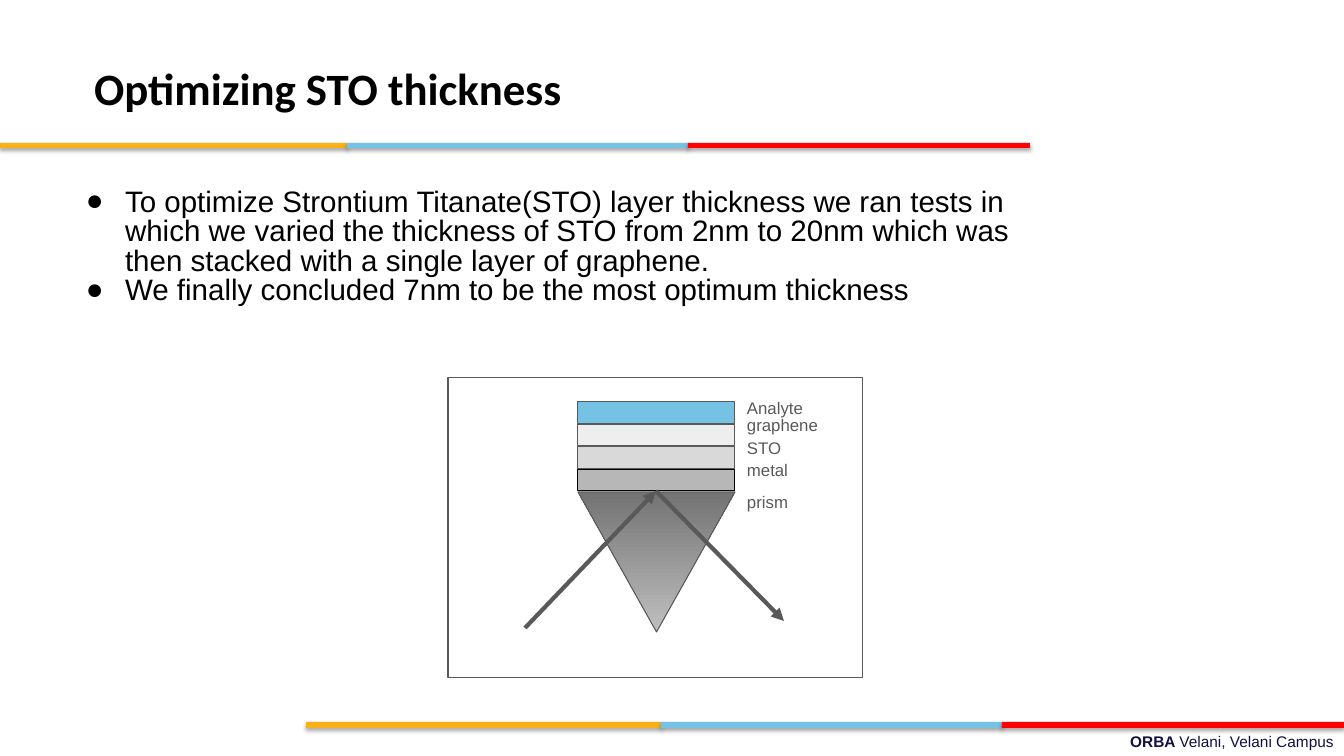
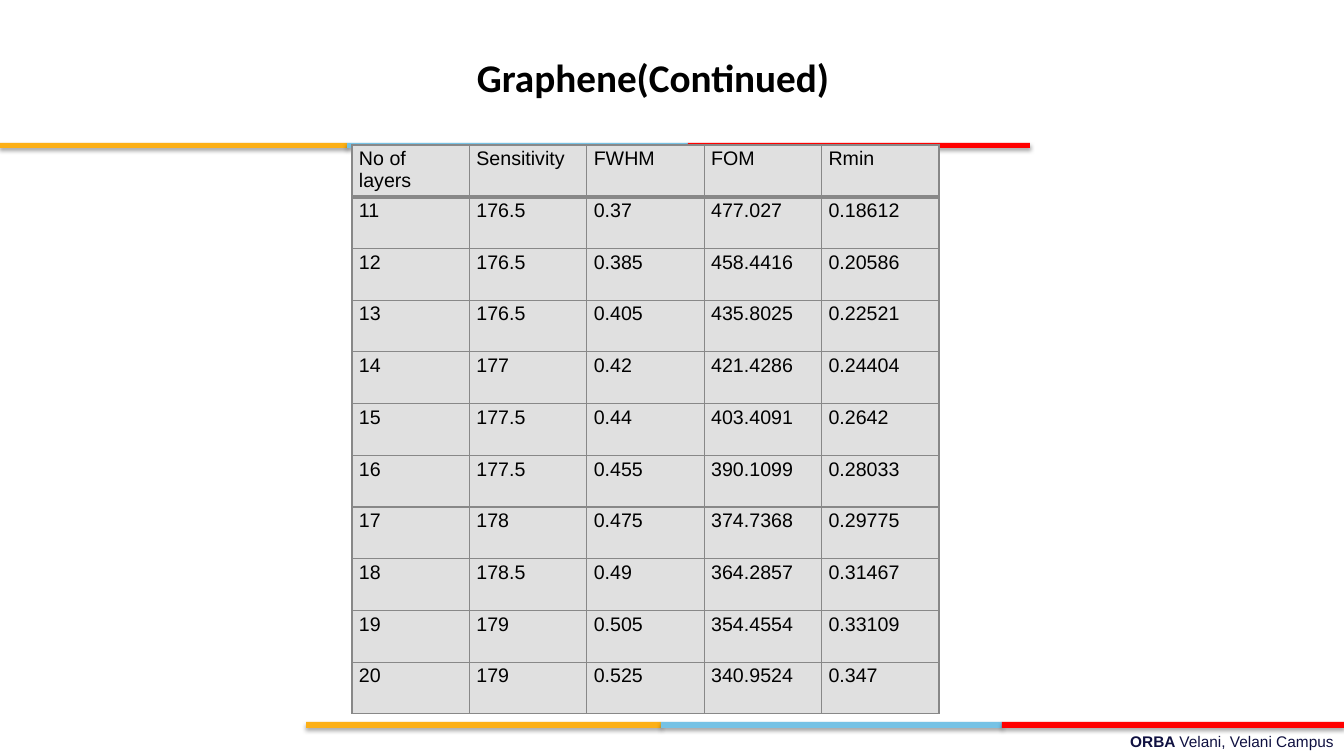
from dataclasses import dataclass
from itertools import pairwise

from lxml.etree import SubElement
from pptx import Presentation
from pptx.dml.color import RGBColor as Rgb
from pptx.enum.shapes import MSO_CONNECTOR as Connector, MSO_SHAPE as Shape
from pptx.enum.text import MSO_ANCHOR as Anchor, MSO_AUTO_SIZE as AutoSize, PP_ALIGN as Align
from pptx.oxml.ns import qn
from pptx.util import Emu, Pt


@dataclass(frozen=True)
class Theme:
    heading_font: str = "Calibri"
    text_font: str = "Arial"
    black: str = "000000"
    grey: str = "595959"
    navy: str = "101141"
    orange: str = "FCB017"
    blue: str = "76C2E5"
    red: str = "FF0000"
    cell_fill: str = "E0E0E0"
    cell_line: str = "888888"
    prism_light: str = "BFBFBF"
    prism_dark: str = "737373"
    title_size: float = 32
    small_title_size: float = 28
    body_size: float = 21.1
    table_size: float = 14
    label_size: float = 12
    footer_size: float = 11


THEME = Theme()
SLIDE_SIZE = (1344, 756)

BAND_COLORS = (THEME.orange, THEME.blue, THEME.red)
BANDS = [
    {"top": 143, "height": 5, "edges": (0, 347, 688, 1030)},
    {"top": 722, "height": 6, "edges": (306, 661, 1002, 1344)},
]
FOOTER = [("ORBA ", True), ("Velani, Velani Campus", False)]
FOOTER_BOX = (482, 727, 862, 28)

STO_TITLE = "Optimizing STO thickness"
STO_POINTS = [
    "To optimize Strontium Titanate(STO) layer thickness we ran tests in which we varied "
    "the thickness of STO from 2nm to 20nm which was then stacked with a single layer of graphene.",
    "We finally concluded 7nm to be the most optimum thickness",
]
FRAME = (448, 378, 415, 300)
STACK = (578, 402, 157, 90)
PRISM = (578, 492, 157, 140)
LAYERS = [
    (THEME.blue, THEME.grey),
    ("EEEEEE", THEME.grey),
    ("D9D9D9", THEME.grey),
    ("B7B7B7", THEME.black),
]
LABELS = [("Analyte", 388), ("graphene", 405), ("STO", 428), ("metal", 450), ("prism", 482)]
LIGHT_POINTS = [(525, 628), (656, 491), (784, 621)]

TABLE_TITLE = "Graphene(Continued)"
TABLE_BOX = (352, 145, 587, 569)
TABLE_ROWS = [
    ("No of layers", "Sensitivity", "FWHM", "FOM", "Rmin"),
    ("11", "176.5", "0.37", "477.027", "0.18612"),
    ("12", "176.5", "0.385", "458.4416", "0.20586"),
    ("13", "176.5", "0.405", "435.8025", "0.22521"),
    ("14", "177", "0.42", "421.4286", "0.24404"),
    ("15", "177.5", "0.44", "403.4091", "0.2642"),
    ("16", "177.5", "0.455", "390.1099", "0.28033"),
    ("17", "178", "0.475", "374.7368", "0.29775"),
    ("18", "178.5", "0.49", "364.2857", "0.31467"),
    ("19", "179", "0.505", "354.4554", "0.33109"),
    ("20", "179", "0.525", "340.9524", "0.347"),
]


def px(length):
    return Emu(round(length * 914400 / 100.8))


def place(shape, box):
    shape.left, shape.top, shape.width, shape.height = map(px, box)


def set_margins(target, across, down):
    target.margin_left = target.margin_right = px(across)
    target.margin_top = target.margin_bottom = px(down)


def style_text(frame, size, color, font=THEME.text_font, bold=False, align=Align.LEFT):
    for para in frame.paragraphs:
        para.alignment = align
        for span in para.runs:
            span.font.name = font
            span.font.size = Pt(size)
            span.font.bold = bold
            span.font.color.rgb = Rgb.from_string(color)


def prepare_frame(shape, across=10, down=10, anchor=Anchor.TOP):
    frame = shape.text_frame
    frame.word_wrap = True
    frame.auto_size = AutoSize.NONE
    frame.vertical_anchor = anchor
    set_margins(frame, across, down)
    return frame


def add_block(page, kind, box, fill=None, line=None):
    block = page.shapes.add_shape(kind, *map(px, box))
    block.shadow.inherit = False
    if fill:
        block.fill.solid()
        block.fill.fore_color.rgb = Rgb.from_string(fill)
    else:
        block.fill.background()
    if line:
        block.line.color.rgb = Rgb.from_string(line)
        block.line.width = Pt(0.75)
    else:
        block.line.fill.background()
    return block


def add_band_shadow(block):
    effects = block._element.spPr.find(qn("a:effectLst"))
    shadow = SubElement(effects, qn("a:outerShdw"), blurRad=str(Pt(3.1)), dist=str(Pt(1.8)),
                        dir="5400000", rotWithShape="0")
    color = SubElement(shadow, qn("a:srgbClr"), val=THEME.black)
    SubElement(color, qn("a:alpha"), val="35000")


def add_footer(page):
    box = page.shapes.add_textbox(*map(px, FOOTER_BOX))
    frame = prepare_frame(box, 10, 5)
    para = frame.paragraphs[0]
    for text, _ in FOOTER:
        para.add_run().text = text
    style_text(frame, THEME.footer_size, THEME.navy, align=Align.RIGHT)
    for span, (_, bold) in zip(para.runs, FOOTER):
        span.font.bold = bold
    return box


def furnish_master(deck, page):
    furniture = [add_footer(page)]
    for band in BANDS:
        for color, (left, right) in zip(BAND_COLORS, pairwise(band["edges"])):
            box = (left, band["top"], right - left, band["height"])
            block = add_block(page, Shape.RECTANGLE, box, color)
            add_band_shadow(block)
            furniture.append(block)
    for number, shape in enumerate(furniture, 100):
        shape._element.nvSpPr.cNvPr.id = number
        deck.slide_master.shapes._spTree.append(shape._element)


def set_title(page, text, box, size, across, down, anchor):
    title = page.shapes.title
    place(title, box)
    frame = prepare_frame(title, across, down, anchor)
    frame.text = text
    style_text(frame, size, THEME.black, THEME.heading_font, True)


def set_points(page, points, box):
    body = page.placeholders[1]
    place(body, box)
    frame = prepare_frame(body)
    frame.text = "\n".join(points)
    style_text(frame, THEME.body_size, THEME.black)
    for para in frame.paragraphs:
        para.line_spacing = 0.83
        para.space_before = para.space_after = Pt(0)
        settings = para._p.get_or_add_pPr()
        settings.set("marL", str(px(50)))
        settings.set("indent", str(px(-39)))
        color = SubElement(settings, qn("a:buClr"))
        SubElement(color, qn("a:srgbClr"), val=THEME.black)
        SubElement(settings, qn("a:buFont"), typeface=THEME.text_font)
        SubElement(settings, qn("a:buChar"), char="●")


def add_arrow(page, start, end):
    arrow = page.shapes.add_connector(Connector.STRAIGHT, *map(px, start + end))
    arrow.line.color.rgb = Rgb.from_string(THEME.grey)
    arrow.line.width = Pt(3)
    SubElement(arrow.line._get_or_add_ln(), qn("a:tailEnd"), type="triangle")
    SubElement(arrow._element.spPr, qn("a:effectLst"))


def add_prism(page):
    prism = add_block(page, Shape.ISOSCELES_TRIANGLE, PRISM, THEME.prism_light, THEME.grey)
    prism.rotation = 180
    prism.fill.gradient()
    prism.fill.gradient_angle = 270
    for stop, color in zip(prism.fill.gradient_stops, (THEME.prism_light, THEME.prism_dark)):
        stop.color.rgb = Rgb.from_string(color)


def add_diagram(page):
    add_block(page, Shape.RECTANGLE, FRAME, line=THEME.grey)
    add_prism(page)
    left, top, width, height = STACK
    step = height / len(LAYERS)
    for index, (fill, line) in enumerate(LAYERS):
        add_block(page, Shape.RECTANGLE, (left, top + index * step, width, step - 1), fill, line)
    for text, label_top in LABELS:
        label = page.shapes.add_textbox(*map(px, (737, label_top, 108, 32)))
        frame = prepare_frame(label)
        frame.text = text
        style_text(frame, THEME.label_size, THEME.grey)
    for start, end in pairwise(LIGHT_POINTS):
        add_arrow(page, start, end)


def set_borders(cell, widths):
    settings = cell._tc.get_or_add_tcPr()
    for side, width in widths.items():
        line = SubElement(settings, qn(f"a:ln{side}"), w=str(Pt(width)))
        fill = SubElement(line, qn("a:solidFill"))
        SubElement(fill, qn("a:srgbClr"), val=THEME.cell_line)


def add_results(page):
    row_count, column_count = len(TABLE_ROWS), len(TABLE_ROWS[0])
    table = page.shapes.add_table(row_count, column_count, *map(px, TABLE_BOX)).table
    table.first_row = table.horz_banding = False
    for column in table.columns:
        column.width = px(TABLE_BOX[2] / column_count)
    for index, (row, values) in enumerate(zip(table.rows, TABLE_ROWS)):
        row.height = px(TABLE_BOX[3] / row_count)
        widths = {"L": 1, "R": 1, "T": 3 if index == 1 else 1, "B": 3 if index == 0 else 1}
        for cell, value in zip(row.cells, values):
            set_borders(cell, widths)
            cell.fill.solid()
            cell.fill.fore_color.rgb = Rgb.from_string(THEME.cell_fill)
            set_margins(cell, 7, 3)
            cell.text_frame.text = value
            style_text(cell.text_frame, THEME.table_size, THEME.black)


def main():
    deck = Presentation()
    deck.slide_width, deck.slide_height = map(px, SLIDE_SIZE)

    sto_page = deck.slides.add_slide(deck.slide_layouts[1])
    furnish_master(deck, sto_page)
    set_title(sto_page, STO_TITLE, (84, 37, 939, 88), THEME.title_size, 10, 10, Anchor.BOTTOM)
    set_points(sto_page, STO_POINTS, (65, 179, 978, 170))
    add_diagram(sto_page)

    table_page = deck.slides.add_slide(deck.slide_layouts[5])
    set_title(table_page, TABLE_TITLE, (470, 49, 387, 55), THEME.small_title_size, 7, 4, Anchor.TOP)
    add_results(table_page)

    deck.save("out.pptx")


if __name__ == "__main__":
    main()
